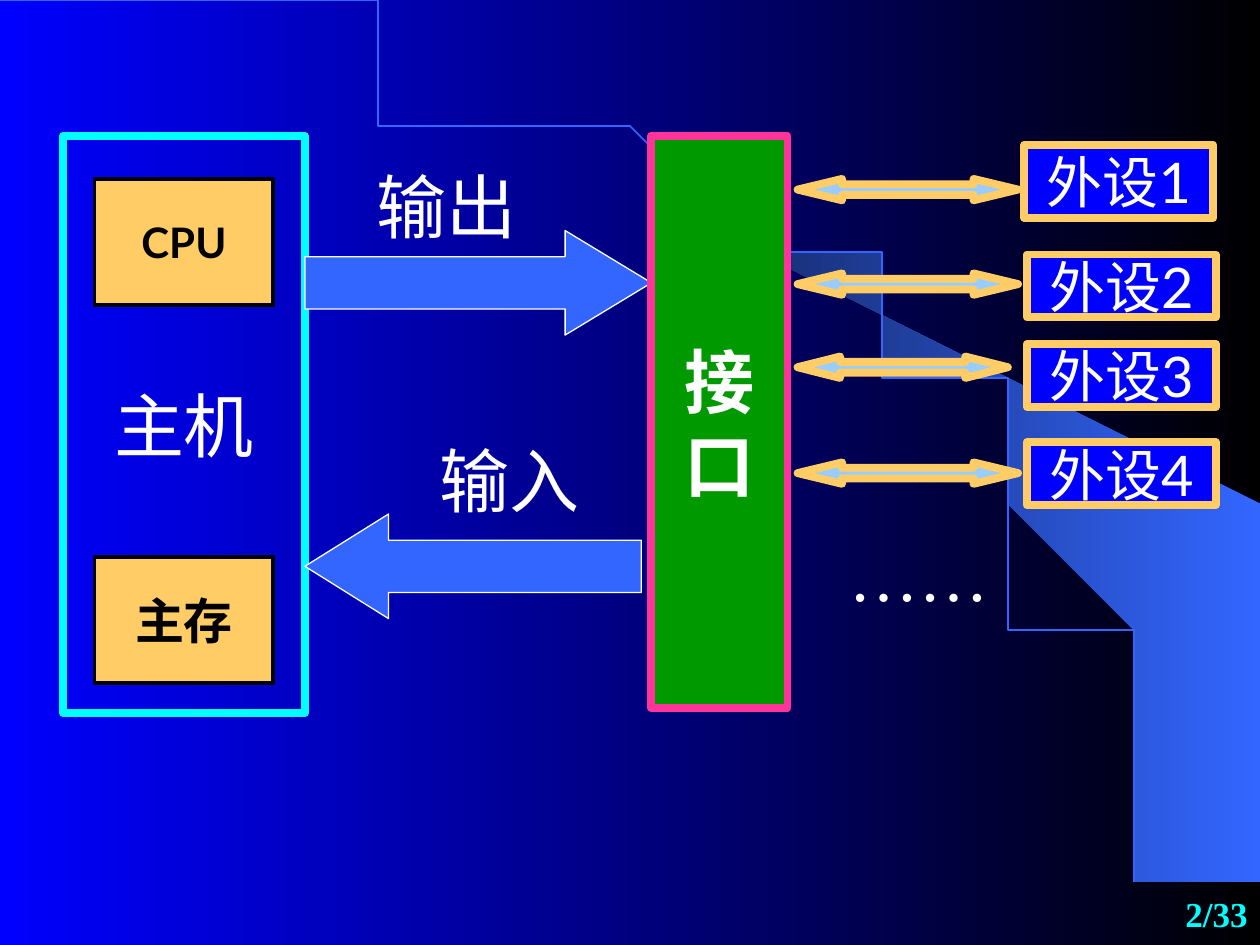
import math
from pptx import Presentation
from pptx.dml.color import RGBColor
from pptx.enum import shapes, text
from pptx.util import Inches, Pt

# Content: wording and places (left, top, width, height in inches)
HOST = ("主机", (0.5, 1.08, 1.92, 4.58))
PARTS = [("CPU", 1.42, "small"), ("主存", 4.42, "part")]
PORT = ("接\n口", (5.17, 1.08, 1.08, 4.54))
FLOWS = [
    ("RIGHT_ARROW", (2.42, 1.83, 2.75, 0.83), 0.825),
    ("LEFT_ARROW", (2.42, 4.08, 2.67, 0.83), 0.8),
]
LINKS = [(1.42, 1.75), (2.17, 1.75), (2.83, 1.67), (3.67, 1.75)]
DEVICES = [
    ("外设1", (8.13, 1.15, 1.5, 0.58)),
    ("外设2", (8.15, 2.02, 1.5, 0.5)),
    ("外设3", (8.15, 2.73, 1.5, 0.5)),
    ("外设4", (8.15, 3.51, 1.5, 0.5)),
]
LABELS = [
    ("……", (6.5, 4.17, 1.58, 0.77), "serif"),
    ("输出", (2.67, 1.25, 1.75, 0.77), "sans"),
    ("输入", (3.17, 3.42, 1.75, 0.77), "sans"),
]
PAGE = ("2/33", (7.92, 7, 2.08, 0.5))
SWOOSH = [
    (9.2, 7.48), (9.99, 7.49), (9.99, 4.23), (5.89, 1.73), (6.24, 1.99),
    (6.53, 2.22), (6.85, 2.5), (7.16, 2.8), (7.62, 3.3), (8.03, 3.84),
    (8.32, 4.31), (8.58, 4.79), (8.78, 5.28), (8.93, 5.72), (9.03, 6.09),
    (9.13, 6.56), (9.17, 6.96), (9.2, 7.48),
]
ARC = (9.2, 7.49)

THEME = {
    "blue": "0000FF", "black": "000000", "white": "FFFFFF", "sky": "3366FF",
    "navy": "182F76", "cyan": "00FFFF", "gold": "FFCC66", "green": "009900",
    "pink": "FF3399", "pale": "99CCFF",
    "sans": "Lato", "serif": "Times New Roman",
    "page": 20, "small": 24, "part": 28, "device": 32, "large": 40,
    "thin": 0.75, "fine": 1, "frame": 2.25, "thick": 4.5,
}

deck = Presentation()
deck.slide_width, deck.slide_height = Inches(10), Inches(7.5)
slide = deck.slides.add_slide(deck.slide_layouts[6])


def color(name):
    return RGBColor.from_string(THEME[name])


def blend(fill, start, end):
    fill.gradient()
    fill.gradient_angle = 0
    for stop, name, pos in zip(fill.gradient_stops, (start, end), (0, 1)):
        stop.color.rgb = color(name)
        stop.position = pos


def paint(shape, fill=None, line=None, width="thick"):
    shape.shadow.inherit = False
    if fill:
        shape.fill.solid()
        shape.fill.fore_color.rgb = color(fill)
    else:
        shape.fill.background()
    shape.line.color.rgb = color(line)
    shape.line.width = Pt(THEME[width])


def write(shape, words, size, tint="white", bold=False, font="sans",
          align="CENTER", anchor="MIDDLE", wrap=False):
    frame = shape.text_frame
    frame.text = words
    frame.word_wrap = wrap
    frame.vertical_anchor = text.MSO_ANCHOR[anchor]
    for para in frame.paragraphs:
        para.alignment = text.PP_ALIGN[align]
        for run in para.runs:
            run.font.name = THEME[font]
            run.font.size = Pt(THEME[size])
            run.font.bold = bold
            run.font.color.rgb = color(tint)


def draw(kind, box, fill, line, width="thick"):
    shape = slide.shapes.add_shape(shapes.MSO_SHAPE[kind], *map(Inches, box))
    paint(shape, fill, line, width)
    return shape


def trace(points, close):
    pen = slide.shapes.build_freeform(*points[0], scale=Inches(1))
    pen.add_line_segments(points[1:], close=close)
    shape = pen.convert_to_shape()
    shape.shadow.inherit = False
    return shape


def note(words, box, size, **style):
    shape = slide.shapes.add_textbox(*map(Inches, box))
    write(shape, words, size, wrap=True, **style)


# Backdrop: gradient, swoosh and quarter ellipse
blend(slide.background.fill, "blue", "black")
swoosh = trace(SWOOSH, True)
blend(swoosh.fill, "navy", "sky")
swoosh.line.fill.background()
turns = [math.radians(deg) for deg in range(0, 91)]
curve = trace([(ARC[0] * math.sin(t), ARC[1] * (1 - math.cos(t)))
               for t in turns], False)
paint(curve, None, "sky", "fine")
note(*PAGE, "page", tint="cyan", bold=True, font="serif", align="RIGHT")

# Host with its parts
words, box = HOST
write(draw("RECTANGLE", box, None, "cyan"), words, "large")
for words, top, size in PARTS:
    part = draw("RECTANGLE", (0.75, top, 1.42, 1), "gold", "black", "frame")
    write(part, words, size, "black", True)

# Flows between host and interface
for kind, box, head in FLOWS:
    arrow = draw(kind, box, "sky", "white", "thin")
    arrow.adjustments[0], arrow.adjustments[1] = 0.5, head
words, box = PORT
write(draw("RECTANGLE", box, "green", "pink"), words, "large", bold=True)

# Links and devices
for top, wide in LINKS:
    link = draw("LEFT_RIGHT_ARROW", (6.33, top, wide, 0.17), "pale", "gold")
    link.adjustments[0], link.adjustments[1] = 0.5, round(wide * 1.19, 2)
for words, box in DEVICES:
    write(draw("RECTANGLE", box, "blue", "gold"), words, "device")

# Free labels
for words, box, font in LABELS:
    note(words, box, "large", font=font, anchor="TOP")

deck.save("out.pptx")
